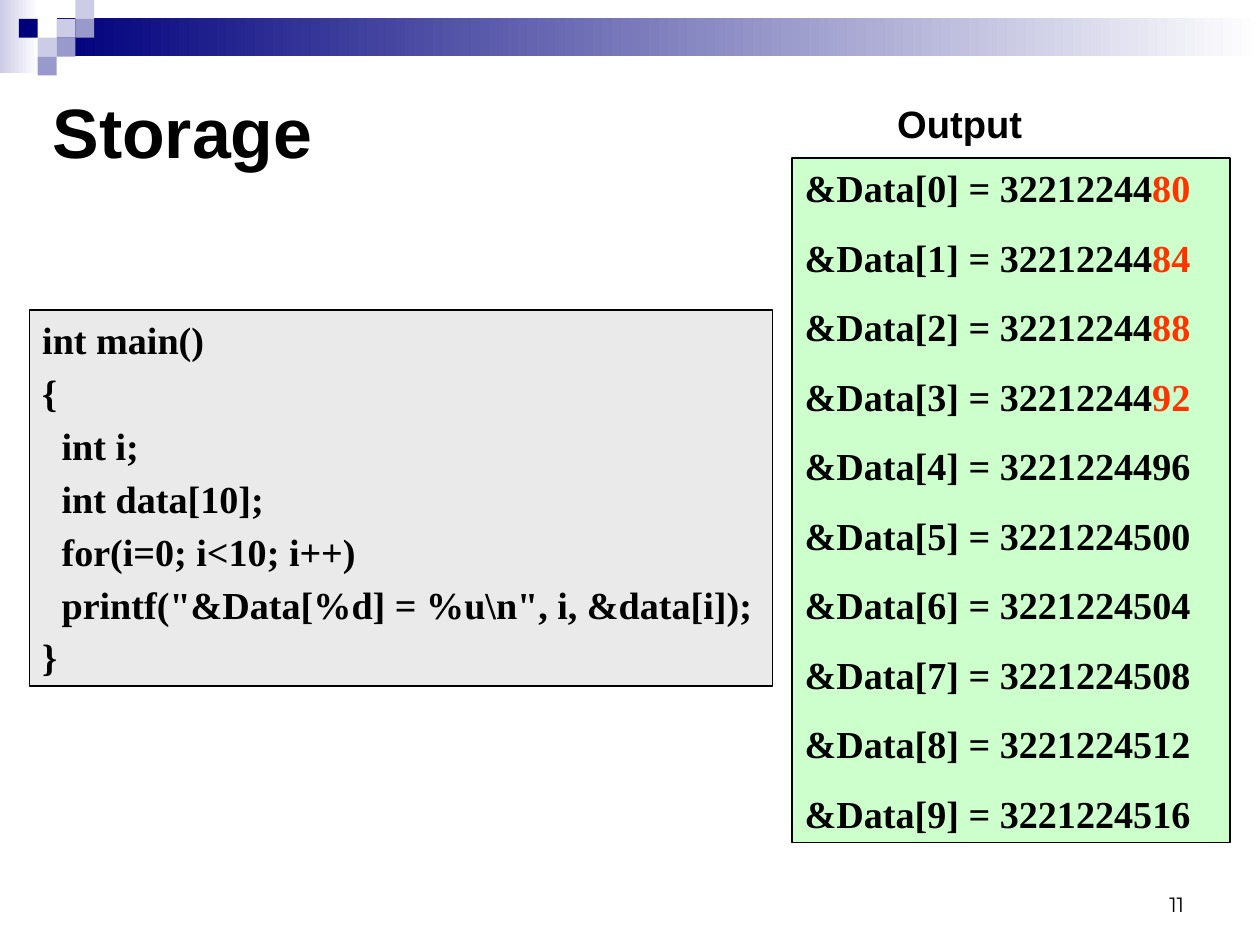
import pptx
import pptx.dml.color
import pptx.enum.shapes
import pptx.enum.text
import pptx.util
from pptx.util import Inches

COLORS = {
    "black": "000000",
    "white": "FFFFFF",
    "navy": "00007D",
    "lavender": "CCCCE6",
    "periwinkle": "9999CC",
    "code": "EAEAEA",
    "output": "CCFFCC",
    "highlight": "FF3300",
}
SQUARE = 0.33 / 2
SQUARES = [  # column, row, color
    (3, 1, "lavender"),
    (4, 0, "lavender"),
    (4, 1, "periwinkle"),
    (2, 2, "lavender"),
    (1, 1, "navy"),
    (3, 2, "periwinkle"),
    (2, 3, "periwinkle"),
]
CODE = [  # indent level, text
    (0, "int main()"),
    (0, "{"),
    (1, "int i;"),
    (1, "int data[10];"),
    (1, "for(i=0; i<10; i++)"),
    (1, 'printf("&Data[%d] = %u\\n", i, &data[i]);'),
    (0, "}"),
]
FIRST_ADDRESS = 3221224480
INT_SIZE = 4
HIGHLIGHTED = 4


def rgb(name):
    return pptx.dml.color.RGBColor.from_string(COLORS[name])


def add_text(paragraph, text, font="Times New Roman", size=24, bold=True, color="black"):
    run = paragraph.add_run()
    run.text = text
    run.font.name = font
    run.font.size = pptx.util.Pt(size)
    run.font.bold = bold
    run.font.color.rgb = rgb(color)


def format_frame(shape, margins=(0.11, 0.06), anchor="TOP"):
    frame = shape.text_frame
    frame.word_wrap = True
    frame.auto_size = pptx.enum.text.MSO_AUTO_SIZE.NONE
    frame.vertical_anchor = pptx.enum.text.MSO_ANCHOR[anchor]
    frame.margin_left = frame.margin_right = Inches(margins[0])
    frame.margin_top = frame.margin_bottom = Inches(margins[1])
    return frame


def add_rectangle(slide, left, top, width, height):
    shape = slide.shapes.add_shape(
        pptx.enum.shapes.MSO_SHAPE.RECTANGLE,
        Inches(left), Inches(top), Inches(width), Inches(height))
    shape.shadow.inherit = False
    shape.line.fill.background()
    return shape


def add_gradient(slide, left, top, width, height, color):
    """Add a bar that fades to white from left to right."""
    fill = add_rectangle(slide, left, top, width, height).fill
    fill.gradient()
    fill.gradient_angle = 0
    for stop, name in zip(fill.gradient_stops, (color, "white")):
        stop.color.rgb = rgb(name)


def add_header(slide):
    add_gradient(slide, 0, 0, 0.34, 0.64, "lavender")
    add_gradient(slide, 0.5, 0.16, 10.53, 0.33, "navy")
    for column, row, color in SQUARES:
        square = add_rectangle(slide, column * SQUARE, row * SQUARE, SQUARE, SQUARE)
        square.fill.solid()
        square.fill.fore_color.rgb = rgb(color)


def add_panel(slide, left, top, width, height, color, lines, space_before):
    """Add an outlined box; each line is (indent level, [(text, color), ...])."""
    panel = add_rectangle(slide, left, top, width, height)
    panel.fill.solid()
    panel.fill.fore_color.rgb = rgb(color)
    panel.line.color.rgb = rgb("black")
    panel.line.width = pptx.util.Pt(1)
    frame = format_frame(panel)
    for index, (level, pieces) in enumerate(lines):
        paragraph = frame.add_paragraph() if index else frame.paragraphs[0]
        paragraph.alignment = pptx.enum.text.PP_ALIGN.LEFT
        paragraph.space_before = pptx.util.Pt(space_before)
        if level:
            paragraph._p.get_or_add_pPr().set("marL", str(Inches(0.17 * level)))
        for text, text_color in pieces:
            add_text(paragraph, text, color=text_color)


def add_label(slide, left, top, width, height, text, align="LEFT",
              margins=(0, 0), anchor="TOP", **text_format):
    box = slide.shapes.add_textbox(
        Inches(left), Inches(top), Inches(width), Inches(height))
    paragraph = format_frame(box, margins, anchor).paragraphs[0]
    paragraph.alignment = pptx.enum.text.PP_ALIGN[align]
    add_text(paragraph, text, **text_format)


def set_title(slide, text):
    title = slide.shapes.title
    title.left, title.top = Inches(0.35), Inches(0.72)
    title.width, title.height = Inches(10.41), Inches(0.84)
    paragraph = format_frame(title, anchor="MIDDLE").paragraphs[0]
    paragraph.alignment = pptx.enum.text.PP_ALIGN.LEFT
    add_text(paragraph, text, font="Arial", size=44)


def output_lines():
    lines = []
    for index in range(10):
        text = f"&Data[{index}] = {FIRST_ADDRESS + INT_SIZE * index}"
        if index < HIGHLIGHTED:
            pieces = [(text[:-2], "black"), (text[-2:], "highlight")]
        else:
            pieces = [(text, "black")]
        lines.append((0, pieces))
    return lines


def main():
    presentation = pptx.Presentation()
    presentation.slide_width = Inches(28 / 2.54)
    presentation.slide_height = Inches(21 / 2.54)
    slide = presentation.slides.add_slide(presentation.slide_layouts[5])

    add_header(slide)
    set_title(slide, "Storage")
    code_lines = [(level, [(text, "black")]) for level, text in CODE]
    add_panel(slide, 0.26, 2.71, 6.5, 3.29, "code", code_lines, 4.5)
    add_panel(slide, 6.93, 1.38, 3.83, 5.99, "output", output_lines(), 15)
    add_label(slide, 7.85, 0.88, 1.17, 0.4, "Output", font="Arial")
    add_label(slide, 7.9, 7.53, 2.57, 0.55, "11", align="RIGHT",
              margins=(0.11, 0.06), anchor="BOTTOM",
              font="Montserrat", size=13, bold=False)

    presentation.save("out.pptx")


if __name__ == "__main__":
    main()
